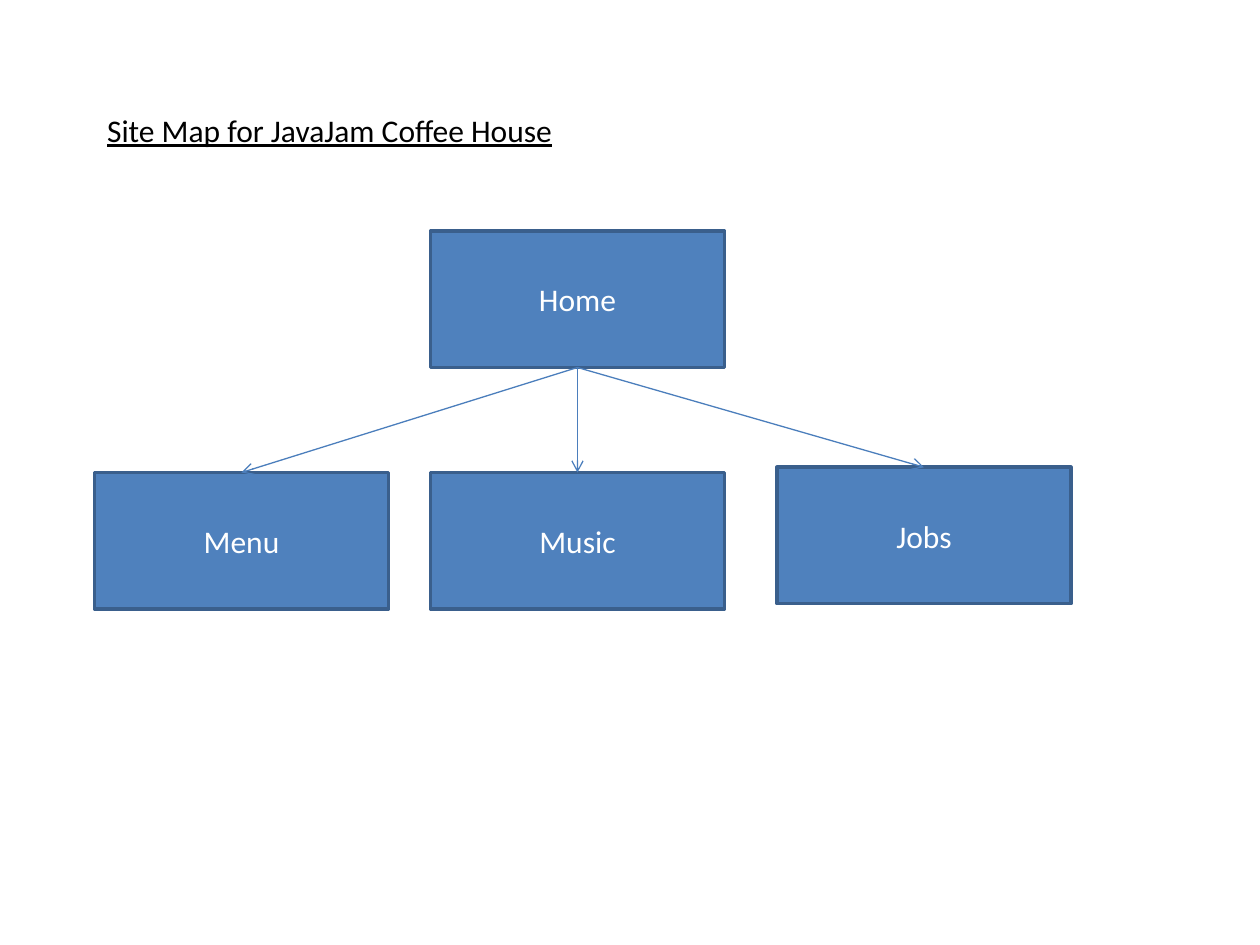
from pptx import Presentation
from pptx.dml.color import RGBColor
from pptx.enum.shapes import MSO_CONNECTOR, MSO_SHAPE
from pptx.enum.text import MSO_ANCHOR, MSO_AUTO_SIZE, PP_ALIGN
from pptx.oxml.ns import qn
from pptx.util import Inches, Pt
from lxml.etree import SubElement

GRID = 12
BOX_W, BOX_H = 28, 13
BOTTOM, TOP = 2, 0


def rgb(value):
    return RGBColor.from_string(value)


def set_text(tf, text, color="000000", size=18, align=PP_ALIGN.LEFT,
             anchor=MSO_ANCHOR.TOP, underline=None, wrap=True):
    tf.word_wrap = wrap
    tf.vertical_anchor = anchor
    p = tf.paragraphs[0]
    p.alignment = align
    r = p.add_run()
    r.text = text
    r.font.name = "Calibri"
    r.font.size = Pt(size)
    r.font.underline = underline
    r.font.color.rgb = rgb(color)


def add_title(s, text, x, y, w, h):
    sp = s.shapes.title
    sp.left, sp.top, sp.width, sp.height = map(Inches, (x, y, w, h))
    set_text(sp.text_frame, text, underline=True, wrap=False)
    sp.text_frame.auto_size = MSO_AUTO_SIZE.SHAPE_TO_FIT_TEXT


def add_page(s, text, col, row):
    box = [Inches(n / GRID) for n in (col, row, BOX_W, BOX_H)]
    sp = s.shapes.add_shape(MSO_SHAPE.RECTANGLE, *box)
    sp.shadow.inherit = False
    sp.fill.solid()
    sp.fill.fore_color.rgb = rgb("4F81BD")
    sp.line.color.rgb = rgb("3A5F8C")
    sp.line.width = Pt(2)
    set_text(sp.text_frame, text, color="FFFFFF", align=PP_ALIGN.CENTER,
             anchor=MSO_ANCHOR.MIDDLE)
    return sp


def add_arrow(s, parent, child):
    c = s.shapes.add_connector(
        MSO_CONNECTOR.STRAIGHT,
        parent.left + parent.width // 2, parent.top + parent.height,
        child.left + child.width // 2, child.top)
    c.begin_connect(parent, BOTTOM)
    c.end_connect(child, TOP)
    c.line.color.rgb = rgb("4B7EBC")
    c.line.width = Pt(0.75)
    SubElement(c.line._get_or_add_ln(), qn("a:tailEnd"), type="arrow")
    SubElement(c._element.spPr, qn("a:effectLst"))


def main():
    prs = Presentation()
    prs.slide_width, prs.slide_height = Inches(10), Inches(7.5)
    s = prs.slides.add_slide(prs.slide_layouts[5])
    add_title(s, "Site Map for JavaJam Coffee House", 0.75, 0.83, 3.78, 0.4)
    jobs, music, menu, home = [add_page(s, *page) for page in (
        ("Jobs", 74, 44.5), ("Music", 41, 45), ("Menu", 9, 45), ("Home", 41, 22))]
    for child in (menu, music, jobs):
        add_arrow(s, home, child)
    prs.save("out.pptx")


main()
